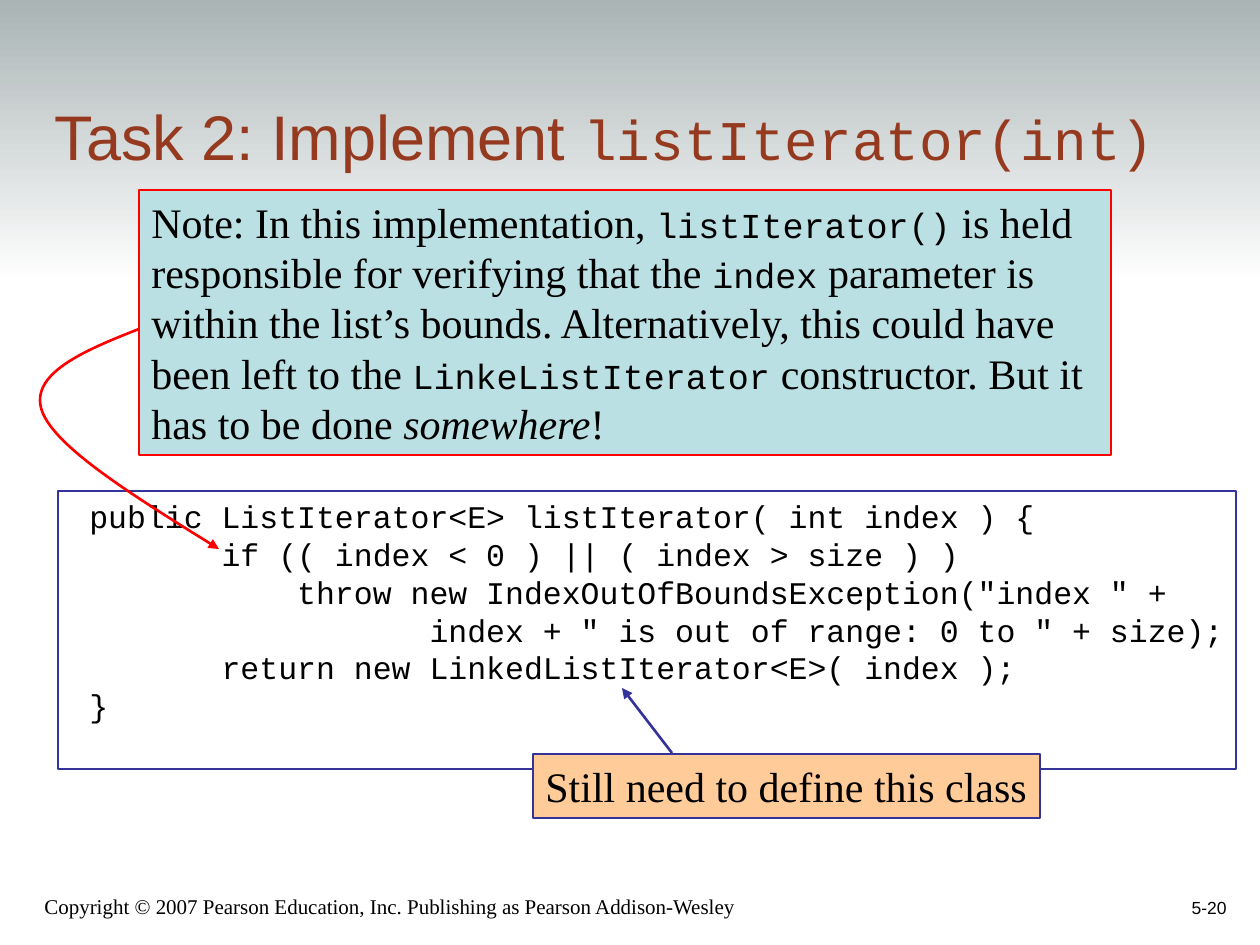
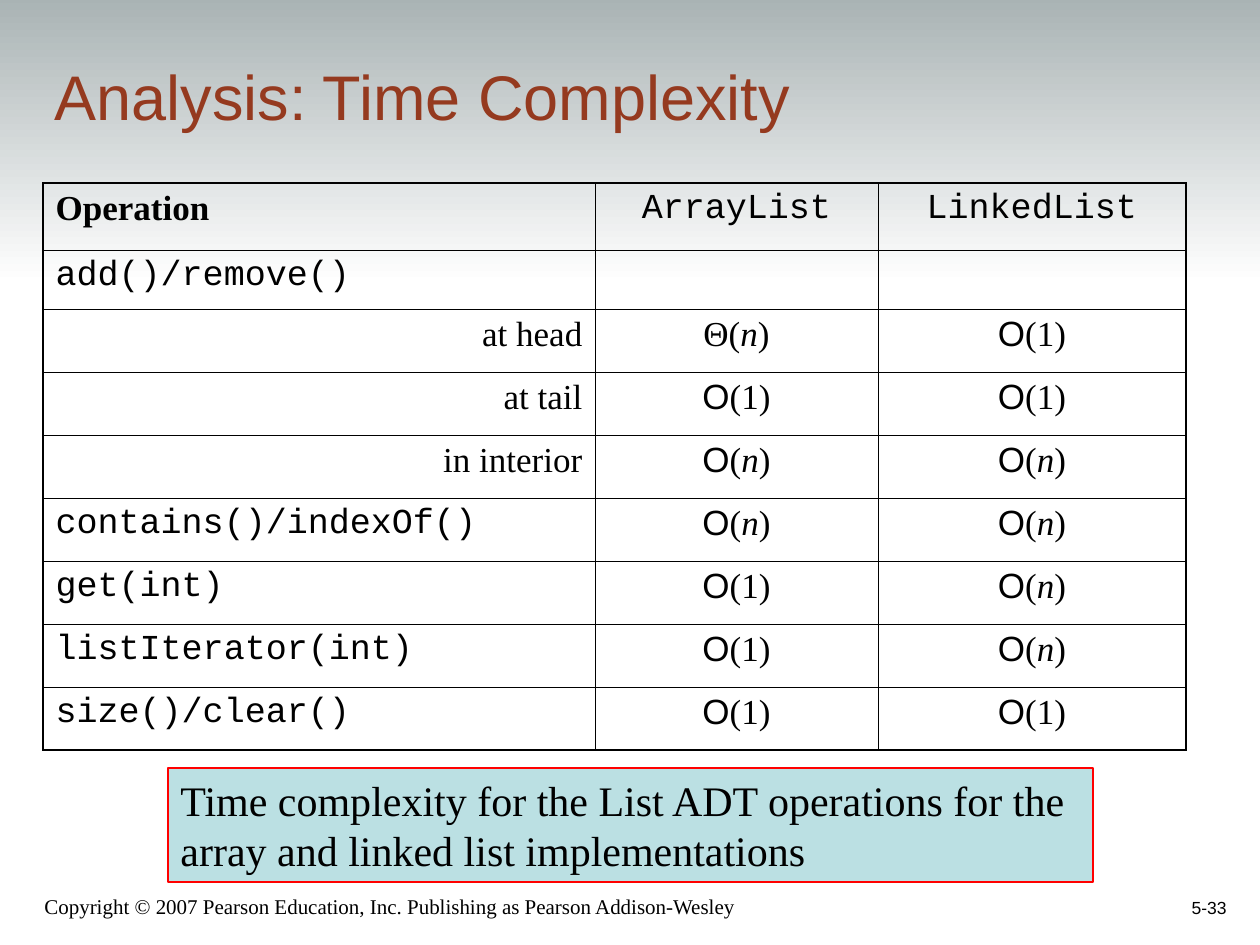
from dataclasses import dataclass

from lxml.etree import SubElement
from pptx import Presentation
from pptx.dml.color import RGBColor
from pptx.enum.shapes import MSO_CONNECTOR as Connector, MSO_SHAPE as Shape
from pptx.enum.text import MSO_ANCHOR as Anchor, MSO_AUTO_SIZE as AutoSize, PP_ALIGN as Align
from pptx.oxml.ns import qn
from pptx.util import Emu, Inches, Pt

PX = Inches(1) / 126
COLOURS = {
    "ink": "000000", "title": "953A1F", "band": "A7B1B2", "paper": "FFFFFF",
    "note": "BBE0E3", "alert": "FF0000", "callout": "FFCC99", "frame": "333399",
}
SANS, SERIF, MONO = "Arial", "Times New Roman", "Courier New"
COPYRIGHT = "Copyright © 2007 Pearson Education, Inc. Publishing as Pearson Addison-Wesley"


@dataclass
class Run:
    text: str
    font: str = SERIF
    size: int = 24
    colour: str = "ink"
    bold: bool = False
    italic: bool = False


def px(length):
    return Emu(round(length * PX))


def rgb(name):
    return RGBColor.from_string(COLOURS[name])


class Deck:
    def __init__(self):
        self.prs = Presentation()
        self.prs.slide_width, self.prs.slide_height = Inches(10), Inches(7.5)
        self.slide = None

    def new_slide(self, title_runs, title_box, number):
        self.slide = self.prs.slides.add_slide(self.prs.slide_layouts[5])
        self.band()
        title = self.slide.shapes.title
        title.left, title.top, title.width, title.height = map(px, title_box)
        self.fill_frame(title.text_frame, [title_runs], anchor=Anchor.BOTTOM)
        self.label((32, 872, 766, 53), Run(COPYRIGHT, size=12))
        self.label((976, 861, 263, 63), Run(number, SANS, 10), Align.RIGHT)

    def band(self):
        band = self.slide.shapes.add_shape(Shape.RECTANGLE, 0, px(-10), px(1260), px(294))
        band.shadow.inherit = False
        band.line.fill.background()
        band.fill.gradient()
        band.fill.gradient_angle = 270
        for stop, colour in zip(band.fill.gradient_stops, ("band", "paper")):
            stop.color.rgb = rgb(colour)
        self.slide.shapes._spTree.insert(2, band._element)

    def fill_frame(self, frame, paragraphs, align=Align.LEFT, anchor=Anchor.TOP, wrap=True,
                   auto_size=AutoSize.NONE):
        frame.word_wrap, frame.auto_size, frame.vertical_anchor = wrap, auto_size, anchor
        frame.margin_left = frame.margin_right = Inches(0.1)
        frame.margin_top = frame.margin_bottom = Inches(0.05)
        self.add_runs(frame, paragraphs, align)

    def add_runs(self, frame, paragraphs, align):
        for index, runs in enumerate(paragraphs):
            paragraph = frame.add_paragraph() if index else frame.paragraphs[0]
            paragraph.alignment = align
            for part in runs:
                run = paragraph.add_run()
                run.text = part.text
                font = run.font
                font.name, font.size = part.font, Pt(part.size)
                font.bold, font.italic = part.bold, part.italic
                font.color.rgb = rgb(part.colour)

    def label(self, box, run, align=Align.LEFT):
        label = self.slide.shapes.add_textbox(*map(px, box))
        self.fill_frame(label.text_frame, [[run]], align, Anchor.BOTTOM)

    def panel(self, box, paragraphs, line, fill=None, **layout):
        panel = self.slide.shapes.add_shape(Shape.RECTANGLE, *map(px, box))
        panel.shadow.inherit = False
        if fill:
            panel.fill.solid()
            panel.fill.fore_color.rgb = rgb(fill)
        else:
            panel.fill.background()
        panel.line.color.rgb, panel.line.width = rgb(line), Pt(1.5)
        self.fill_frame(panel.text_frame, paragraphs, auto_size=AutoSize.SHAPE_TO_FIT_TEXT,
                        **layout)

    def arrow_line(self, shape, colour):
        shape.line.color.rgb, shape.line.width = rgb(colour), Pt(1.5)
        SubElement(shape.line._get_or_add_ln(), qn("a:tailEnd"), type="triangle")

    def arrow(self, start, end, colour):
        arrow = self.slide.shapes.add_connector(Connector.STRAIGHT, *map(px, start + end))
        self.arrow_line(arrow, colour)
        SubElement(arrow._element.spPr, qn("a:effectLst"))

    def curved_arrow(self, start, controls, colour):
        builder = self.slide.shapes.build_freeform(*start, scale=PX)
        builder.add_line_segments(controls, close=False)
        curve = builder.convert_to_shape()
        outline = curve._element.find(".//" + qn("a:path"))
        segments = outline.findall(qn("a:lnTo"))
        for first in range(0, len(segments), 3):
            bezier = SubElement(outline, qn("a:cubicBezTo"))
            for segment in segments[first:first + 3]:
                bezier.append(segment[0])
                outline.remove(segment)
        curve.shadow.inherit = False
        curve.fill.background()
        self.arrow_line(curve, colour)

    def table(self, origin, widths, heights, rows):
        box = (*origin, sum(widths), sum(heights))
        table = self.slide.shapes.add_table(len(rows), len(widths), *map(px, box)).table
        table.first_row = table.horz_banding = False
        for column, width in zip(table.columns, widths):
            column.width = px(width)
        for row, height in zip(table.rows, heights):
            row.height = px(height)
        last_row, last_column = len(rows) - 1, len(widths) - 1
        for r, row in enumerate(rows):
            for c, (runs, align) in enumerate(row):
                cell = table.cell(r, c)
                self.borders(cell, {"L": c == 0, "R": c == last_column,
                                    "T": r == 0, "B": r == last_row})
                cell.fill.background()
                self.add_runs(cell.text_frame, [runs], align)

    def borders(self, cell, outer_sides):
        properties = cell._tc.get_or_add_tcPr()
        for side, outer in outer_sides.items():
            width = Pt(0.96 if outer else 0.45)
            line = SubElement(properties, qn("a:ln" + side), w=str(width))
            fill = SubElement(line, qn("a:solidFill"))
            SubElement(fill, qn("a:srgbClr"), val=COLOURS["ink"])


def heading(text):
    return Run(text, SANS, 36, "title")


def code(text):
    return Run(text, MONO, 20)


def order(symbol, argument):
    return [Run(symbol, SERIF if symbol == "Θ" else SANS, 20), Run("(", size=20),
            Run(argument, size=20, italic=argument == "n"), Run(")", size=20)]


def list_iterator_slide(deck):
    deck.new_slide([heading("Task 2: Implement "), Run("listIterator(int)", MONO, 32, "title")],
                   (42, 42, 1148, 137), "5-20")
    method = [
        " public ListIterator<E> listIterator( int index ) {",
        "        if (( index < 0 ) || ( index > size ) )",
        '            throw new IndexOutOfBoundsException("index " +',
        '                   index + " is out of range: 0 to " + size);',
        "        return new LinkedListIterator<E>( index );",
        " }",
    ]
    deck.panel((58, 491, 1178, 278), [[Run(line, MONO, 18)] for line in method], "frame")
    note = [
        Run("Note: In this implementation, "), code("listIterator()"),
        Run(" is held responsible for verifying that the "), code("index"),
        Run(" parameter is within the list’s bounds. Alternatively, this could have"
            " been left to the "),
        code("LinkeListIterator"), Run(" constructor. But it has to be done "),
        Run("somewhere", italic=True), Run("!"),
    ]
    deck.panel((139, 190, 972, 265), [note], "alert", "note")
    deck.curved_arrow((139, 329), [(83, 351), (29, 374), (42, 411),
                                   (55, 447), (137, 498), (219, 549)], "alert")
    deck.panel((533, 754, 507, 64), [[Run("Still need to define this class")]],
               "frame", "callout", wrap=False)
    deck.arrow((672, 753), (622, 688), "frame")


def complexity_slide(deck):
    deck.new_slide([heading("Analysis: Time Complexity")], (42, 30, 1067, 109), "5-33")
    left, centre, right = Align.LEFT, Align.CENTER, Align.RIGHT
    rows = [
        [([Run("Operation", size=20, bold=True)], left),
         ([code("ArrayList")], centre), ([code("LinkedList")], centre)],
        [([code("add()/remove()")], left), ([], centre), ([], centre)],
    ]
    costs = [
        ("at head", "Θn", "Ο1"),
        ("at tail", "Ο1", "Ο1"),
        ("in interior", "Οn", "Οn"),
        ("contains()/indexOf()", "Οn", "Οn"),
        ("get(int)", "Ο1", "Οn"),
        ("listIterator(int)", "Ο1", "Οn"),
        ("size()/clear()", "Ο1", "Ο1"),
    ]
    for operation, *bounds in costs:
        is_call = "(" in operation
        label = ([code(operation)], left) if is_call else ([Run(operation, size=20)], right)
        rows.append([label] + [(order(*bound), centre) for bound in bounds])
    deck.table((43, 183), (552, 283, 308), [67, 59] + [63] * len(costs), rows)
    caption = ["Time complexity for the List ADT operations for the",
               "array and linked list implementations"]
    deck.panel((168, 768, 925, 114), [[Run(line)] for line in caption],
               "alert", "note", anchor=Anchor.MIDDLE)


def main():
    deck = Deck()
    list_iterator_slide(deck)
    complexity_slide(deck)
    deck.prs.save("out.pptx")


if __name__ == "__main__":
    main()
